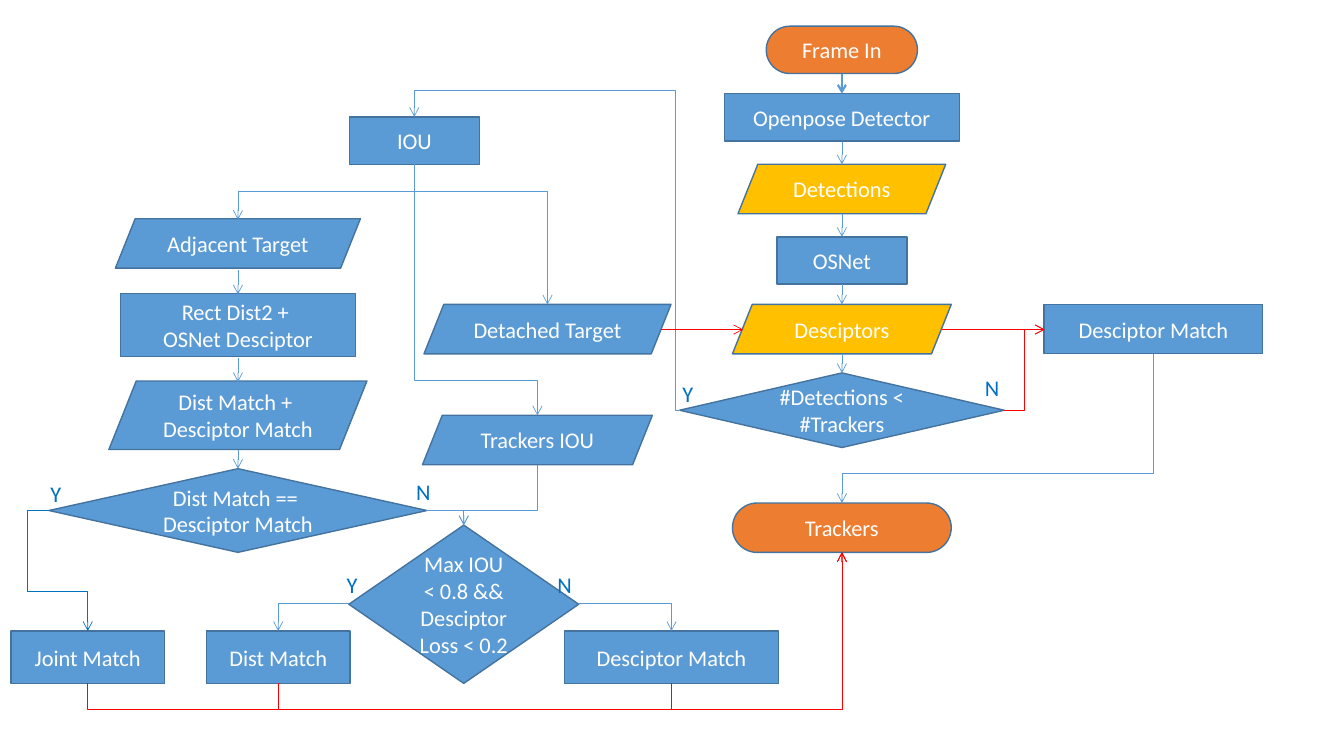
from dataclasses import dataclass

from lxml.etree import SubElement
from pptx import Presentation
from pptx.dml.color import RGBColor
from pptx.enum.shapes import MSO_CONNECTOR, MSO_SHAPE
from pptx.enum.text import MSO_ANCHOR, PP_ALIGN
from pptx.oxml.ns import qn
from pptx.slide import Slide
from pptx.text.text import TextFrame
from pptx.util import Inches, Pt

BLUE = RGBColor(0x5B, 0x9B, 0xD5)
OUTLINE = RGBColor(0x43, 0x73, 0x9E)
ORANGE = RGBColor(0xED, 0x7D, 0x31)
GOLD = RGBColor(0xFF, 0xC0, 0x00)
RED = RGBColor(0xFF, 0x00, 0x00)
LABEL_BLUE = RGBColor(0x00, 0x70, 0xC0)
WHITE = RGBColor(0xFF, 0xFF, 0xFF)

PROCESS = MSO_SHAPE.RECTANGLE
DATA = MSO_SHAPE.PARALLELOGRAM
TERMINAL = MSO_SHAPE.ROUNDED_RECTANGLE
DECISION = MSO_SHAPE.FLOWCHART_DECISION
ADJUSTMENTS = {DATA: 0.4, TERMINAL: 0.5}

MAIN, ADJACENT, IOU, TRACKERS_IOU, LOSS = 8.35, 2.36, 4.11, 5.33, 4.6
DETACHED, MATCH = 5.43, 11.44
JOINT, DIST, DESCRIPTOR = 0.87, 2.76, 6.66
RESULT_TOP, RESULT_HEIGHT, RETURN_LEVEL = 6.26, 0.52, 7.04

Point = tuple[float, float]


@dataclass(frozen=True)
class Node:
    """A flowchart step centred on a column."""
    text: str
    center: float
    top: float
    width: float
    height: float
    kind: MSO_SHAPE = PROCESS
    fill: RGBColor = BLUE


@dataclass(frozen=True)
class Arrow:
    """An arrow through right-angled corner points."""
    points: tuple[Point, ...]
    color: RGBColor = BLUE
    weight: float = 0.5


@dataclass(frozen=True)
class Label:
    """A yes or no mark beside a decision."""
    text: str
    left: float
    top: float
    width: float


NODES = [
    Node("Frame In", MAIN, 0.26, 1.5, 0.47, TERMINAL, ORANGE),
    Node("Openpose Detector", MAIN, 0.93, 2.33, 0.47),
    Node("Detections", MAIN, 1.63, 2.06, 0.49, DATA, GOLD),
    Node("OSNet", MAIN, 2.35, 1.29, 0.47),
    Node("Desciptors", MAIN, 3.02, 2.17, 0.49, DATA, GOLD),
    Node("#Detections < #Trackers", MAIN, 3.7, 3.22, 0.74, DECISION),
    Node("Trackers", MAIN, 4.99, 2.17, 0.49, TERMINAL, ORANGE),
    Node("Desciptor Match", MATCH, 3.02, 2.17, 0.49),
    Node("IOU", IOU, 1.16, 1.29, 0.47),
    Node("Detached Target", DETACHED, 3.02, 2.45, 0.49, DATA),
    Node("Trackers IOU", TRACKERS_IOU, 4.12, 2.28, 0.49, DATA),
    Node("Adjacent Target", ADJACENT, 2.17, 2.43, 0.49, DATA),
    Node("Rect Dist2 + \nOSNet Desciptor", ADJACENT, 2.91, 2.33, 0.63),
    Node("Dist Match + \nDesciptor Match", ADJACENT, 3.78, 2.56, 0.68, DATA),
    Node("Dist Match == \nDesciptor Match", ADJACENT, 4.65, 3.75, 0.83, DECISION),
    Node("Max IOU < 0.8 && Desciptor Loss < 0.2", LOSS, 5.21, 2.28, 1.57, DECISION),
    Node("Joint Match", JOINT, RESULT_TOP, 1.52, RESULT_HEIGHT),
    Node("Dist Match", DIST, RESULT_TOP, 1.42, RESULT_HEIGHT),
    Node("Desciptor Match", DESCRIPTOR, RESULT_TOP, 2.12, RESULT_HEIGHT),
]

STEPS = [
    (MAIN, 1.41, 1.63), (MAIN, 2.12, 2.35), (MAIN, 2.82, 3.02), (MAIN, 3.51, 3.7),
    (ADJACENT, 2.68, 2.92), (ADJACENT, 3.55, 3.79), (ADJACENT, 4.46, 4.65),
]

ARROWS = [
    Arrow(((MAIN, 0.73), (MAIN, 0.93)), weight=1.5),
    *(Arrow(((column, start), (column, end))) for column, start, end in STEPS),
    Arrow(((6.75, 4.07), (6.7, 4.07), (6.7, 0.9), (IOU, 0.9), (IOU, 1.16))),
    Arrow(((IOU, 1.63), (IOU, 1.9), (ADJACENT, 1.9), (ADJACENT, 2.18))),
    Arrow(((IOU, 1.63), (IOU, 1.9), (DETACHED, 1.9), (DETACHED, 3.02))),
    Arrow(((IOU, 1.63), (IOU, 3.77), (TRACKERS_IOU, 3.77), (TRACKERS_IOU, 4.12))),
    Arrow(((6.56, 3.27), (7.37, 3.27)), RED),
    Arrow(((9.34, 3.27), (10.36, 3.27)), RED),
    Arrow(((9.96, 4.07), (10.16, 4.07), (10.16, 3.27), (10.36, 3.27)), RED),
    Arrow(((MATCH, 3.51), (MATCH, 4.7), (MAIN, 4.7), (MAIN, 4.99))),
    Arrow(((0.49, 5.06), (0.27, 5.06), (0.27, 5.87), (JOINT, 5.87),
           (JOINT, RESULT_TOP)), LABEL_BLUE),
    Arrow(((4.23, 5.06), (LOSS, 5.06), (LOSS, 5.21))),
    Arrow(((TRACKERS_IOU, 4.61), (TRACKERS_IOU, 5.06), (LOSS, 5.06), (LOSS, 5.21))),
    Arrow(((3.46, 5.99), (DIST, 5.99), (DIST, RESULT_TOP))),
    Arrow(((5.74, 5.99), (DESCRIPTOR, 5.99), (DESCRIPTOR, RESULT_TOP))),
    *(Arrow(((column, RESULT_TOP + RESULT_HEIGHT), (column, RETURN_LEVEL),
             (MAIN, RETURN_LEVEL), (MAIN, 5.48)), RED)
      for column in (JOINT, DIST, DESCRIPTOR)),
]

LABELS = [
    Label("Y", 0.4, 4.71, 0.31), Label("N", 4.03, 4.69, 0.34),
    Label("Y", 6.67, 3.72, 0.31), Label("N", 9.67, 3.66, 0.34),
    Label("Y", 3.34, 5.62, 0.41), Label("N", 5.43, 5.62, 0.43),
]


def write_text(frame: TextFrame, text: str, color: RGBColor, align: PP_ALIGN) -> None:
    """Fill a text frame and format its runs."""
    frame.text = text
    frame.word_wrap = True
    for para in frame.paragraphs:
        para.alignment = align
        for span in para.runs:
            span.font.name = "Calibri"
            span.font.size = Pt(16)
            span.font.color.rgb = color


def draw_node(page: Slide, node: Node) -> None:
    """Draw one flowchart step."""
    shape = page.shapes.add_shape(
        node.kind, Inches(node.center - node.width / 2), Inches(node.top),
        Inches(node.width), Inches(node.height))
    if node.kind in ADJUSTMENTS:
        shape.adjustments[0] = ADJUSTMENTS[node.kind]
    shape.shadow.inherit = False
    shape.fill.solid()
    shape.fill.fore_color.rgb = node.fill
    shape.line.color.rgb = OUTLINE
    shape.line.width = Pt(1)
    shape.text_frame.vertical_anchor = MSO_ANCHOR.MIDDLE
    write_text(shape.text_frame, node.text, WHITE, PP_ALIGN.CENTER)


def draw_arrow(page: Slide, arrow: Arrow) -> None:
    """Draw a straight or bent connector, turned when it leaves vertically."""
    (start_x, start_y), (end_x, end_y) = arrow.points[0], arrow.points[-1]
    bends = len(arrow.points) - 2
    turned = bends > 0 and arrow.points[1][0] == start_x
    run, rise = end_x - start_x, end_y - start_y
    across, down = (rise, -run) if turned else (run, rise)
    middle_x, middle_y = (start_x + end_x) / 2, (start_y + end_y) / 2
    connector = page.shapes.add_connector(
        MSO_CONNECTOR.ELBOW if bends else MSO_CONNECTOR.STRAIGHT,
        Inches(middle_x - across / 2), Inches(middle_y - down / 2),
        Inches(middle_x + across / 2), Inches(middle_y + down / 2))
    connector.line.color.rgb = arrow.color
    connector.line.width = Pt(arrow.weight)
    properties = connector._element.spPr
    if turned:
        properties.find(qn("a:xfrm")).set("rot", "5400000")
    if bends:
        geometry = properties.find(qn("a:prstGeom"))
        geometry.set("prst", f"bentConnector{bends + 1}")
        for index in range(1, bends):
            x, y = arrow.points[index]
            horizontal = (index % 2 == 1) != turned
            share = (x - start_x) / run if horizontal else (y - start_y) / rise
            SubElement(geometry.find(qn("a:avLst")), qn("a:gd"),
                       name=f"adj{index}", fmla=f"val {round(share * 100000)}")
    SubElement(properties.find(qn("a:ln")), qn("a:tailEnd"), type="arrow")
    SubElement(properties, qn("a:effectLst"))


def draw_label(page: Slide, label: Label) -> None:
    """Draw one decision mark."""
    box = page.shapes.add_textbox(
        Inches(label.left), Inches(label.top), Inches(label.width), Inches(0.37))
    write_text(box.text_frame, label.text, LABEL_BLUE, PP_ALIGN.LEFT)


def main() -> None:
    """Build and save the flowchart slide."""
    deck = Presentation()
    deck.slide_width, deck.slide_height = Inches(13.33), Inches(7.5)
    page = deck.slides.add_slide(deck.slide_layouts[6])
    for node in NODES:
        draw_node(page, node)
    for arrow in ARROWS:
        draw_arrow(page, arrow)
    for label in LABELS:
        draw_label(page, label)
    deck.save("out.pptx")


main()
